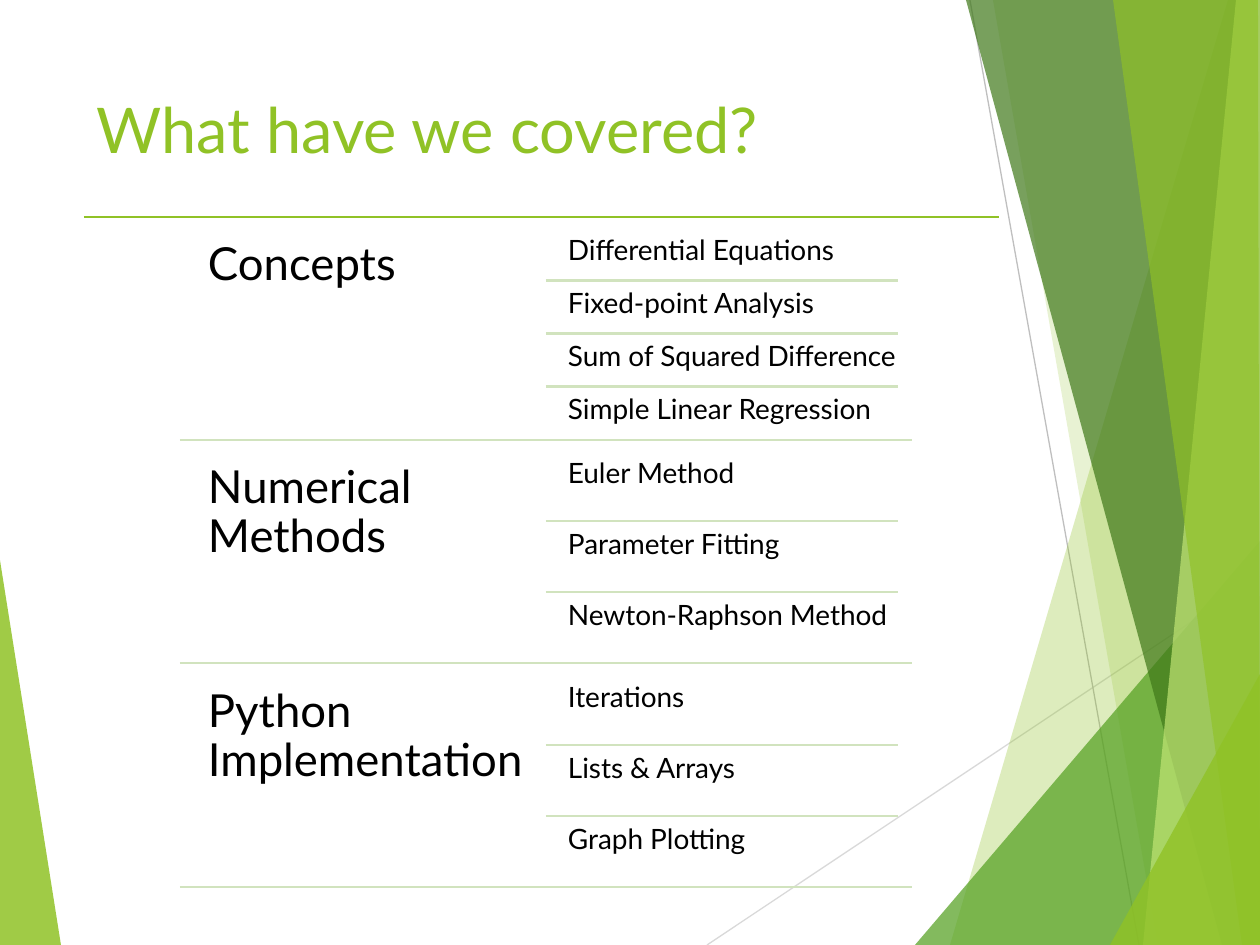
from lxml.etree import SubElement
from pptx import Presentation
from pptx.dml.color import RGBColor
from pptx.enum.shapes import MSO_CONNECTOR
from pptx.enum.text import MSO_ANCHOR, PP_ALIGN
from pptx.oxml.ns import qn
from pptx.util import Emu, Pt

EMU_PER_PX = 914400 / 126
FONT = "Lato"
COLORS = {
    "lime": "90C226",
    "green": "54A021",
    "forest": "3F7819",
    "pale": "C0E474",
    "divider": "D1E3BE",
    "light gray": "D9D9D9",
    "gray": "BFBFBF",
    "black": "000000",
}

# Color, opacity in percent, corners
LEFT_SHARD = ("lime", 85, [(0, 560), (61, 945), (0, 945)])
RIGHT_SHARDS = [
    ("lime", 30, [(1228, 0), (950, 945), (1260, 945), (1260, 0)]),
    ("lime", 20, [(993, 0), (1158, 945), (1260, 945), (1260, 0)]),
    ("green", 72, [(915, 945), (1260, 541), (1260, 945)]),
    ("forest", 70, [(966, 0), (1222, 945), (1260, 945), (1260, 0)]),
    ("pale", 70, [(1236, 0), (1143, 945), (1260, 945), (1260, 0)]),
    ("lime", 65, [(1113, 0), (1242, 945), (1260, 945), (1258, 0)]),
    ("lime", 80, [(1110, 945), (1260, 674), (1260, 945)]),
]
TOPICS = {
    "Concepts": [
        "Differential Equations",
        "Fixed-point Analysis",
        "Sum of Squared Difference",
        "Simple Linear Regression",
    ],
    "Numerical Methods": ["Euler Method", "Parameter Fitting", "Newton-Raphson Method"],
    "Python Implementation": ["Iterations", "Lists & Arrays", "Graph Plotting"],
}
TOPIC_HEIGHT = 213


def px(length):
    return Emu(round(length * EMU_PER_PX))


def add_line(start, end, color, width):
    line = slide.shapes.add_connector(MSO_CONNECTOR.STRAIGHT, *map(px, start + end))
    line.line.color.rgb = RGBColor.from_string(COLORS[color])
    line.line.width = Pt(width)
    SubElement(line._element.spPr, qn("a:effectLst"))


prs = Presentation()
prs.slide_width, prs.slide_height = px(1260), px(945)
slide = prs.slides.add_slide(prs.slide_layouts[5])

# Faceted backdrop, with two thin lines behind the right-hand shards
for color, opacity, corners in [LEFT_SHARD, *RIGHT_SHARDS]:
    builder = slide.shapes.build_freeform(*corners[0], scale=EMU_PER_PX)
    builder.add_line_segments(corners[1:], close=True)
    shard = builder.convert_to_shape()
    shard.shadow.inherit = False
    shard.line.fill.background()
    shard.fill.solid()
    shard.fill.fore_color.rgb = RGBColor.from_string(COLORS[color])
    fill_color = shard._element.spPr.find(qn("a:solidFill"))[0]
    SubElement(fill_color, qn("a:alpha"), val=str(opacity * 1000))
    if color == LEFT_SHARD[0] and corners is LEFT_SHARD[2]:
        add_line((707, 945), (1260, 576), "light gray", 0.75)
        add_line((970, 0), (1139, 945), "gray", 0.75)

title = slide.shapes.title
title.left, title.top, title.width, title.height = map(px, (84, 84, 875, 107))
title.text_frame.text = "What have we covered?"
title.text_frame.vertical_anchor = MSO_ANCHOR.TOP
heading = title.text_frame.paragraphs[0]
heading.alignment = PP_ALIGN.LEFT
heading.font.name = FONT
heading.font.size = Pt(36)
heading.font.color.rgb = RGBColor.from_string(COLORS["lime"])

# Topics on the left, their equally spaced items on the right
add_line((84, 217), (999, 217), "lime", 1.5)
for number, (topic, items) in enumerate(TOPICS.items()):
    topic_top = 227 + number * 447 // 2
    item_height = TOPIC_HEIGHT / len(items)
    entries = [(topic, 194, topic_top, TOPIC_HEIGHT, 14, 26)]
    for row, item in enumerate(items):
        item_top = topic_top + row * item_height
        entries.append((item, 559, item_top, item_height, 9, 16))
        if row:
            add_line((546, item_top), (898, item_top), "divider", 1.5)

    for text, left, top, height, inset, size in entries:
        frame = slide.shapes.add_textbox(px(left), px(top), px(353), px(height)).text_frame
        frame.word_wrap = True
        frame.margin_left = frame.margin_right = px(inset)
        frame.margin_top = frame.margin_bottom = px(inset)
        frame.text = text
        paragraph = frame.paragraphs[0]
        paragraph.line_spacing = 0.9
        paragraph.font.name = FONT
        paragraph.font.size = Pt(size)
        paragraph.font.color.rgb = RGBColor.from_string(COLORS["black"])

    topic_bottom = topic_top + TOPIC_HEIGHT
    add_line((180, topic_bottom), (912, topic_bottom), "divider", 1.5)

prs.save("out.pptx")
